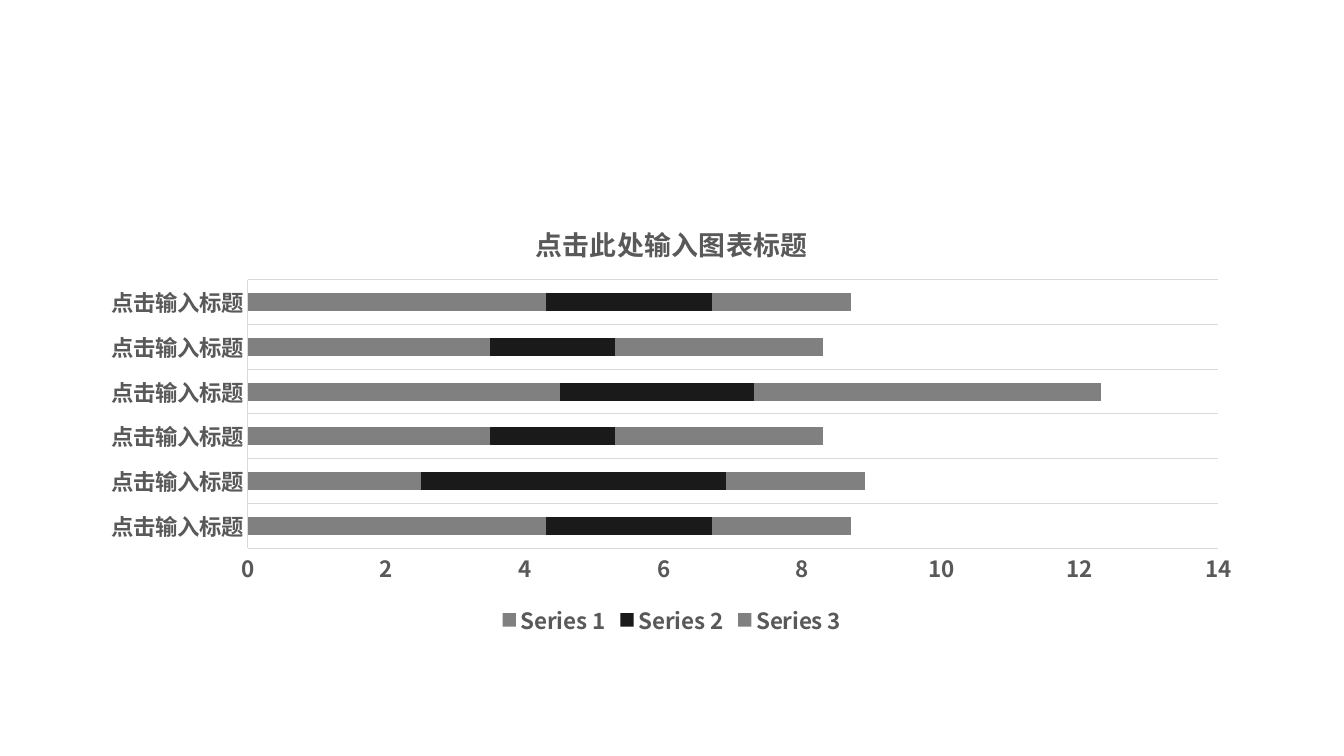
import pptx
import pptx.chart.data
import pptx.dml.color
import pptx.enum.chart
import pptx.oxml
import pptx.oxml.ns
import pptx.util
from pptx.util import Cm

FONT = "Noto Sans CJK SC"
TEXT_GREY = "595959"
LINE_GREY = "D9D9D9"
CATEGORIES = ["点击输入标题"] * 6
SERIES = [
    ("Series 1", (4.3, 2.5, 3.5, 4.5, 3.5, 4.3), "808080"),
    ("Series 2", (2.4, 4.4, 1.8, 2.8, 1.8, 2.4), "1A1A1A"),
    ("Series 3", (2, 2, 3, 5, 3, 2), "808080"),
]


def color(hex_string):
    return pptx.dml.color.RGBColor.from_string(hex_string)


def format_font(font, size=16, bold=True, fill=TEXT_GREY):
    font.name = FONT
    font.size = pptx.util.Pt(size)
    font.bold = bold
    font.color.rgb = color(fill)


def write_text(frame, text, **font_format):
    span = frame.paragraphs[0].add_run()
    span.text = text
    format_font(span.font, **font_format)


def format_line(line, fill=LINE_GREY, width=0.75):
    line.color.rgb = color(fill)
    line.width = pptx.util.Pt(width)


def format_axis(axis):
    axis.major_tick_mark = pptx.enum.chart.XL_TICK_MARK.NONE
    axis.minor_tick_mark = pptx.enum.chart.XL_TICK_MARK.NONE
    format_font(axis.tick_labels.font)


def use_east_asian_font(chart):
    """Give Chinese characters the same typeface as Latin ones."""
    for latin in list(chart.element.iter(pptx.oxml.ns.qn("a:latin"))):
        latin.addnext(pptx.oxml.parse_xml(
            f'<a:ea {pptx.oxml.ns.nsdecls("a")} typeface="{FONT}"/>'))


def place_plot(chart, **fractions):
    """Fix the inner plot area as fractions (x, y, w, h) of the chart."""
    edges = "".join(f'<c:{key}Mode val="edge"/>' for key in "xy")
    sizes = "".join(f'<c:{key} val="{value}"/>' for key, value in fractions.items())
    layout = pptx.oxml.parse_xml(
        f'<c:layout {pptx.oxml.ns.nsdecls("c")}><c:manualLayout>'
        f'<c:layoutTarget val="inner"/>{edges}{sizes}</c:manualLayout></c:layout>')
    plot_area = chart.element.find(".//" + pptx.oxml.ns.qn("c:plotArea"))
    for automatic in plot_area.findall(pptx.oxml.ns.qn("c:layout")):
        plot_area.remove(automatic)
    plot_area.insert(0, layout)


def add_stacked_bars(page, title, left, top, width, height):
    chart_data = pptx.chart.data.CategoryChartData()
    chart_data.categories = CATEGORIES
    for name, values, _ in SERIES:
        chart_data.add_series(name, values)
    chart = page.shapes.add_chart(
        pptx.enum.chart.XL_CHART_TYPE.BAR_STACKED,
        left, top, width, height, chart_data).chart
    format_font(chart.font, fill="000000")

    chart.has_title = True
    write_text(chart.chart_title.text_frame, title, size=19.2)
    chart.chart_title.include_in_layout = False

    chart.has_legend = True
    chart.legend.position = pptx.enum.chart.XL_LEGEND_POSITION.BOTTOM
    chart.legend.include_in_layout = False
    format_font(chart.legend.font)

    plot = chart.plots[0]
    plot.gap_width = 150
    plot.overlap = 100
    plot.vary_by_categories = False
    for series, (_, _, fill) in zip(plot.series, SERIES):
        series.format.fill.solid()
        series.format.fill.fore_color.rgb = color(fill)

    category_axis, value_axis = chart.category_axis, chart.value_axis
    for axis in (category_axis, value_axis):
        format_axis(axis)
    category_axis.has_major_gridlines = True
    format_line(category_axis.major_gridlines.format.line)
    format_line(category_axis.format.line)
    value_axis.has_major_gridlines = False
    value_axis.format.line.fill.background()
    value_axis.minimum_scale = 0
    value_axis.maximum_scale = 14
    value_axis.major_unit = 2

    place_plot(chart, x=0.137, y=0.178, w=0.831, h=0.613)
    use_east_asian_font(chart)


def main():
    deck = pptx.Presentation()
    deck.slide_width, deck.slide_height = Cm(33.87), Cm(19.05)
    page = deck.slides.add_slide(deck.slide_layouts[6])
    add_stacked_bars(page, "点击此处输入图表标题",
                     Cm(2.21), Cm(5.08), Cm(29.44), Cm(11.05))
    deck.save("out.pptx")


if __name__ == "__main__":
    main()
